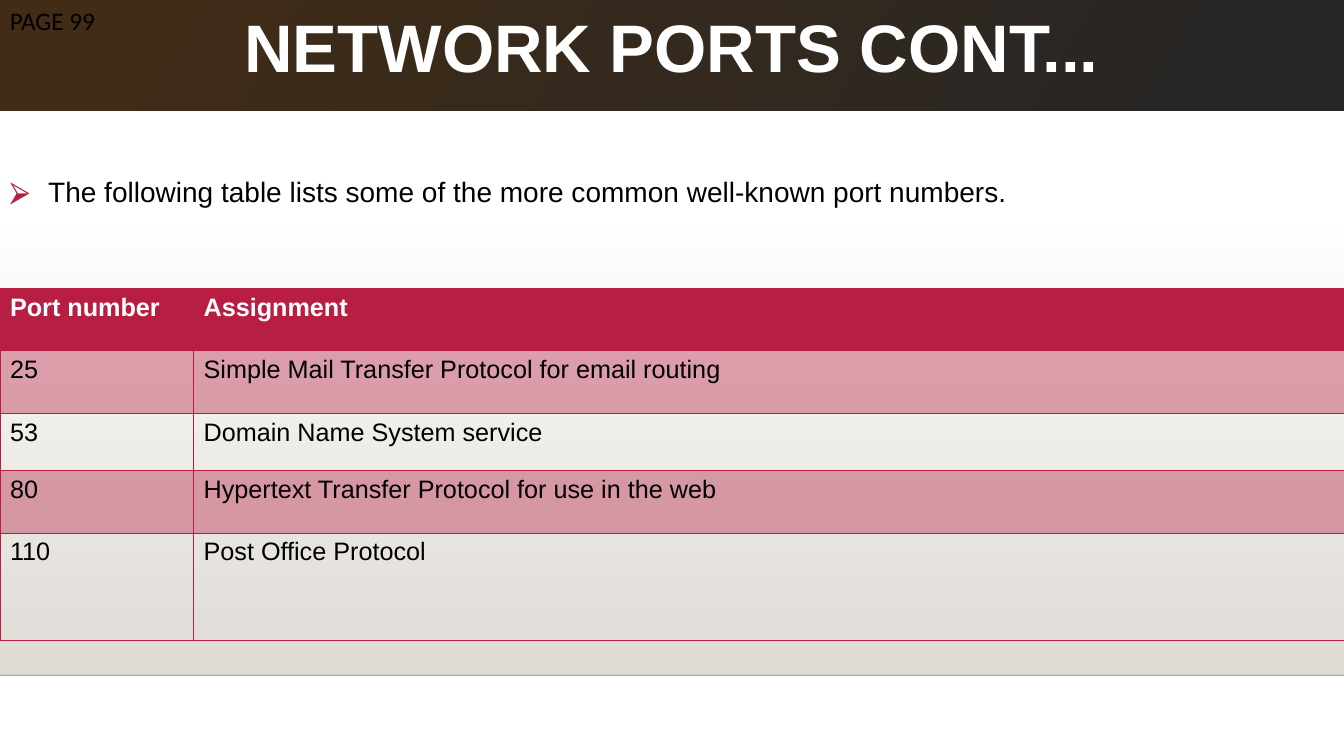
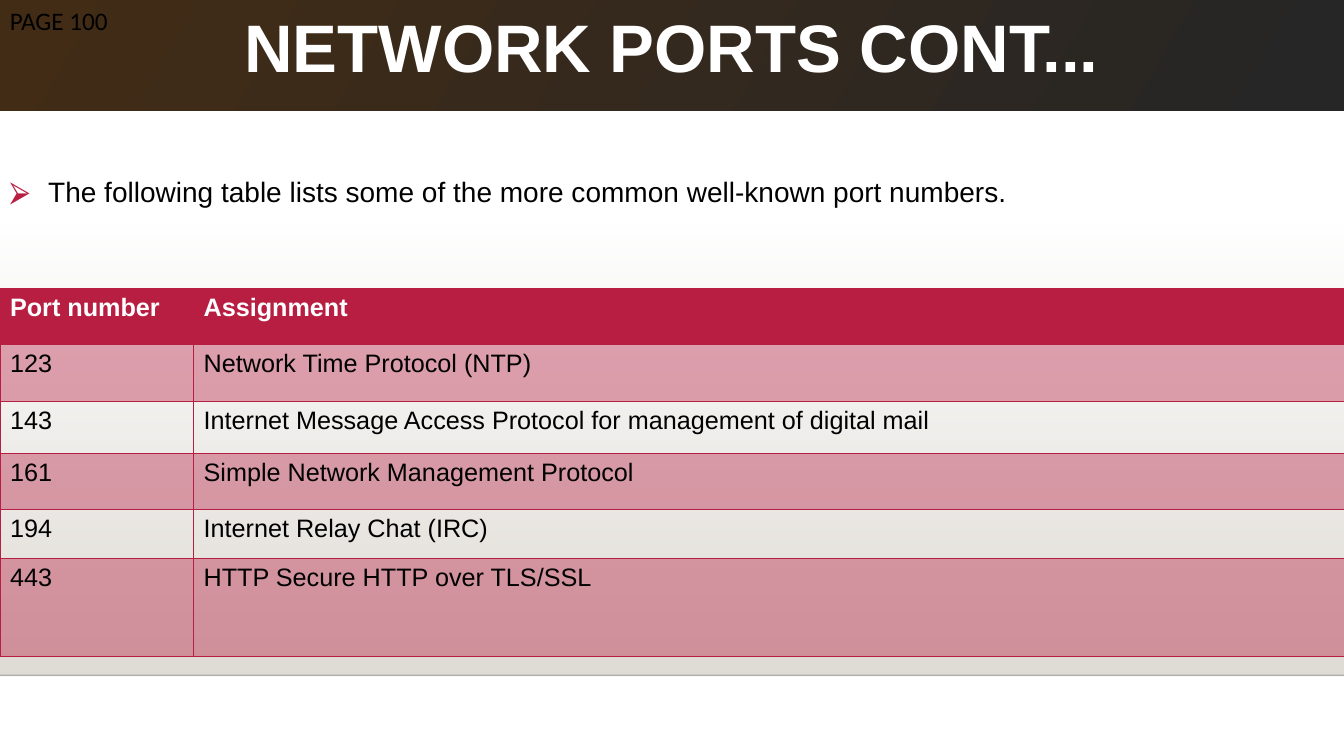
from dataclasses import dataclass

from lxml.etree import SubElement
from pptx import Presentation
from pptx.dml.color import RGBColor
from pptx.enum.shapes import MSO_CONNECTOR, MSO_SHAPE
from pptx.enum.text import MSO_ANCHOR, MSO_AUTO_SIZE, PP_ALIGN
from pptx.oxml.ns import qn
from pptx.util import Inches, Pt

WIDE, HIGH = 13.33, 7.5
RED, SAND, BLACK, WHITE = "B71E42", "DFDBD5", "000000", "FFFFFF"
DARK, BROWN = "262626", "422C15"
FACE = "Arial"
TITLE = "NETWORK PORTS CONT..."
LEAD = "The following table lists some of the more common well-known port numbers."
HEAD = ("Port number", "Assignment")
COLS = (1.92, 11.41)


@dataclass
class Stop:
    place: int
    tint: str
    alpha: int = 100


@dataclass
class Row:
    port: str
    use: str
    height: float


@dataclass
class Page:
    label: str
    top: float
    rows: list[Row]


PAGES = [
    Page("PAGE 99", 0.62, [
        Row("25", "Simple Mail Transfer Protocol for email routing", 0.62),
        Row("53", "Domain Name System service", 0.57),
        Row("80", "Hypertext Transfer Protocol for use in the web", 0.62),
        Row("110", "Post Office Protocol", 1.07),
    ]),
    Page("PAGE 100", 0.56, [
        Row("123", "Network Time Protocol (NTP)", 0.56),
        Row("143", "Internet Message Access Protocol for management of digital mail", 0.52),
        Row("161", "Simple Network Management Protocol", 0.56),
        Row("194", "Internet Relay Chat (IRC)", 0.48),
        Row("443", "HTTP Secure HTTP over TLS/SSL", 0.97),
    ]),
]


def color(tint: str) -> RGBColor:
    return RGBColor.from_string(tint)


def place(shape, left: float, top: float, width: float, height: float) -> None:
    shape.left, shape.top = Inches(left), Inches(top)
    shape.width, shape.height = Inches(width), Inches(height)


def style(para, size: int, tint: str, bold: bool = False, face: str = FACE) -> None:
    for run in para.runs:
        run.font.size, run.font.name, run.font.bold = Pt(size), face, bold
        run.font.color.rgb = color(tint)


def tinted(parent, tint: str, alpha: int = 100) -> None:
    node = SubElement(parent, qn("a:srgbClr"), val=tint)
    if alpha < 100:
        SubElement(node, qn("a:alpha"), val=str(alpha * 1000))


def fade(shape, angle: int, stops: list[Stop]) -> None:
    shape.fill.gradient()
    grad = shape._element.spPr.find(qn("a:gradFill"))
    for node in list(grad):
        grad.remove(node)
    group = SubElement(grad, qn("a:gsLst"))
    for stop in stops:
        mark = SubElement(group, qn("a:gs"), pos=str(stop.place * 1000))
        tinted(mark, stop.tint, stop.alpha)
    SubElement(grad, qn("a:lin"), ang=str(angle * 60000), scaled="0")


def add_back(slide) -> None:
    panel = slide.shapes.add_shape(
        MSO_SHAPE.RECTANGLE, 0, Inches(2.21), Inches(WIDE), Inches(4.49))
    panel.shadow.inherit = False
    panel.line.fill.background()
    fade(panel, 90, [Stop(0, SAND, 0), Stop(100, SAND)])
    edge = slide.shapes.add_connector(
        MSO_CONNECTOR.STRAIGHT, 0, Inches(6.7), Inches(WIDE), Inches(6.7))
    edge.line.width = Pt(1)
    edge.line.color.rgb = color(BLACK)
    props = edge._element.spPr
    SubElement(next(props.iter(qn("a:srgbClr"))), qn("a:alpha"), val="20000")
    SubElement(props, qn("a:effectLst"))


def add_title(slide) -> None:
    title = slide.shapes.title
    place(title, 0, 0, WIDE, 1.1)
    fade(title, 210, [Stop(0, DARK), Stop(1, DARK), Stop(100, BROWN)])
    frame = title.text_frame
    frame.text = TITLE
    frame.word_wrap, frame.auto_size = True, MSO_AUTO_SIZE.NONE
    frame.vertical_anchor = MSO_ANCHOR.MIDDLE
    frame.margin_left = frame.margin_right = Inches(0.43)
    frame.margin_top = frame.margin_bottom = 0
    para = frame.paragraphs[0]
    para.alignment, para.line_spacing = PP_ALIGN.CENTER, 0.7
    style(para, 48, WHITE, True)


def add_text(slide, text: str, top: float, width: float, height: float):
    box = slide.shapes.add_textbox(0, Inches(top), Inches(width), Inches(height))
    box.text_frame.word_wrap = True
    box.text_frame.text = text
    return box.text_frame.paragraphs[0]


def add_lead(slide) -> None:
    para = add_text(slide, LEAD, 1.62, WIDE, 0.5)
    props = para._p.get_or_add_pPr()
    props.set("marL", str(Inches(0.38)))
    props.set("indent", str(Inches(-0.38)))
    tinted(SubElement(props, qn("a:buClr")), RED)
    SubElement(props, qn("a:buFont"), typeface=FACE)
    SubElement(props, qn("a:buChar"), char="⮚")
    para.alignment, para.line_spacing = PP_ALIGN.JUSTIFY, 1.2
    style(para, 20, BLACK)


def dress(cell, text: str, index: int) -> None:
    cell.text = text
    style(cell.text_frame.paragraphs[0], 18, BLACK if index else WHITE, not index)
    props = cell._tc.get_or_add_tcPr()
    for side in ("a:lnL", "a:lnR", "a:lnT", "a:lnB"):
        line = SubElement(props, qn(side), w=str(Pt(0.75)))
        tinted(SubElement(line, qn("a:solidFill")), RED)
    if index and index % 2 == 0:
        cell.fill.background()
    else:
        tinted(SubElement(props, qn("a:solidFill")), RED, 40 if index else 100)


def add_grid(slide, page: Page) -> None:
    rows = [Row(*HEAD, page.top), *page.rows]
    total = sum(row.height for row in rows)
    table = slide.shapes.add_table(
        len(rows), len(COLS), 0, Inches(2.86), Inches(WIDE), Inches(total)).table
    for col, width in zip(table.columns, COLS):
        col.width = Inches(width)
    for index, row in enumerate(rows):
        table.rows[index].height = Inches(row.height)
        for cell, text in zip(table.rows[index].cells, (row.port, row.use)):
            dress(cell, text, index)


def main() -> None:
    deck = Presentation()
    deck.slide_width, deck.slide_height = Inches(WIDE), Inches(HIGH)
    for page in PAGES:
        slide = deck.slides.add_slide(deck.slide_layouts[5])
        add_back(slide)
        add_title(slide)
        style(add_text(slide, page.label, 0, 3.28, 0.4), 18, BLACK, face="Calibri")
        add_lead(slide)
        add_grid(slide, page)
    deck.save("out.pptx")


if __name__ == "__main__":
    main()
